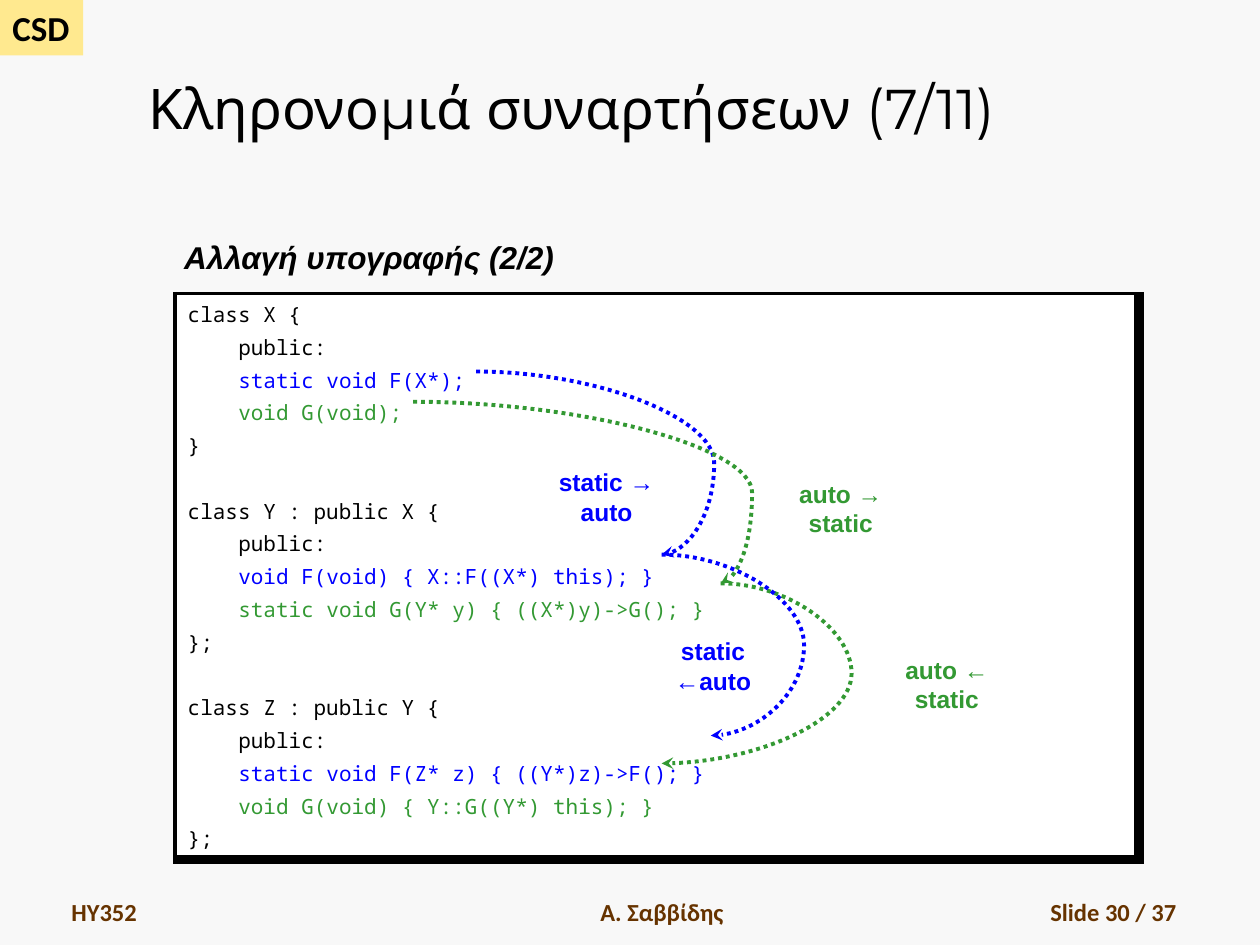
from lxml import etree
from pptx import Presentation
from pptx.dml.color import RGBColor
from pptx.enum.dml import MSO_LINE
from pptx.enum.shapes import MSO_CONNECTOR, MSO_SHAPE
from pptx.enum.text import MSO_ANCHOR, MSO_AUTO_SIZE, PP_ALIGN
from pptx.oxml.ns import qn
from pptx.util import Cm, Pt

LEFT, CENTER, RIGHT = PP_ALIGN.LEFT, PP_ALIGN.CENTER, PP_ALIGN.RIGHT
TOP, MIDDLE, BOTTOM = MSO_ANCHOR.TOP, MSO_ANCHOR.MIDDLE, MSO_ANCHOR.BOTTOM
CURVE, RECTANGLE = MSO_CONNECTOR.CURVE, MSO_SHAPE.RECTANGLE
DOTTED, NO_AUTOFIT = MSO_LINE.ROUND_DOT, MSO_AUTO_SIZE.NONE

BLACK, BLUE, GREEN, BROWN = "000000", "0000FF", "339933", "663300"

CODE = [
    ("class X {", 0, BLACK),
    ("public:", 1, BLACK),
    ("static void F(X*);", 1, BLUE),
    ("void G(void);", 1, GREEN),
    ("}", 0, BLACK),
    ("class Y : public X {", 0, BLACK),
    ("public:", 1, BLACK),
    ("void F(void) { X::F((X*) this); }", 1, BLUE),
    ("static void G(Y* y) { ((X*)y)->G(); }", 1, GREEN),
    ("};", 0, BLACK),
    ("class Z : public Y {", 0, BLACK),
    ("public:", 1, BLACK),
    ("static void F(Z* z) { ((Y*)z)->F(); }", 1, BLUE),
    ("void G(void) { Y::G((Y*) this); }", 1, GREEN),
    ("};", 0, BLACK),
]
FOOTERS = [
    ("HY352", 1.19, 5.56, LEFT),
    ("Α. Σαββίδης", 9.32, 8.05, CENTER),
    ("Slide 30 / 37", 18.69, 5.28, RIGHT),
]
ARROWS = [
    ((9.6, 7.49), (13.34, 11.18), 14.4, BLUE),
    ((8.33, 8.1), (14.53, 11.76), 15.16, GREEN),
    ((14.53, 11.76), (13.34, 15.39), 17.17, GREEN),
    ((13.34, 11.18), (14.33, 14.83), 16.21, BLUE),
]
LABELS = [
    ("static → auto", 10.44, 9.3, 3.58, BLUE),
    ("static ←auto", 12.65, 12.7, 3.45, BLUE),
    ("auto ← static", 17.3, 13.08, 3.58, GREEN),
    ("auto → static", 15.16, 9.53, 3.58, GREEN),
]


def rgb(value):
    """Turn a hex string into a colour."""
    return RGBColor.from_string(value)


def style(paragraph, font_name, size, color, bold=False, italic=False):
    """Set the font of a whole paragraph."""
    font = paragraph.font
    font.name, font.size = font_name, Pt(size)
    font.bold, font.italic = bold, italic
    font.color.rgb = rgb(color)


def fill_text(frame, text, align, anchor, wrap):
    """Write one paragraph into a text frame and return it."""
    frame.auto_size = NO_AUTOFIT
    frame.word_wrap = wrap
    frame.vertical_anchor = anchor
    paragraph = frame.paragraphs[0]
    paragraph.text = text
    paragraph.alignment = align
    return paragraph


def add_text(slide, text, box, align=LEFT, anchor=TOP, wrap=True, margin=0.25):
    """Add a text box and return its paragraph."""
    frame = slide.shapes.add_textbox(*map(Cm, box)).text_frame
    frame.margin_left = frame.margin_right = Cm(margin)
    return fill_text(frame, text, align, anchor, wrap)


def add_badge(slide):
    """Add the department badge in the corner."""
    badge = slide.shapes.add_shape(RECTANGLE, 0, 0, Cm(1.68), Cm(1.12))
    badge.shadow.inherit = False
    badge.fill.solid()
    badge.fill.fore_color.rgb = rgb("FFE98F")
    badge.line.fill.background()
    paragraph = fill_text(badge.text_frame, "CSD", LEFT, MIDDLE, False)
    style(paragraph, "Calibri", 20, BLACK, bold=True)


def set_title(slide, text):
    """Place and format the title placeholder."""
    title = slide.shapes.title
    title.left, title.top = Cm(2.74), Cm(0.43)
    title.width, title.height = Cm(22.66), Cm(2.54)
    paragraph = fill_text(title.text_frame, text, LEFT, BOTTOM, True)
    style(paragraph, "Montserrat", 32, BLACK)


def add_border(cell, side, width):
    """Draw one solid black border of a table cell."""
    line = etree.SubElement(cell._tc.get_or_add_tcPr(), qn(f"a:ln{side}"), w=str(Pt(width)))
    solid = etree.SubElement(line, qn("a:solidFill"))
    etree.SubElement(solid, qn("a:srgbClr"), val=BLACK)


def add_code_table(slide):
    """Add the framed one-cell table with the class declarations."""
    table = slide.shapes.add_table(1, 1, Cm(3.53), Cm(5.92), Cm(19.43), Cm(10.95)).table
    table.first_row = table.horz_banding = False
    cell = table.cell(0, 0)
    for side, width in (("L", 2.25), ("R", 6), ("T", 2.25), ("B", 6)):
        add_border(cell, side, width)
    cell.fill.solid()
    cell.fill.fore_color.rgb = rgb("FFFFFF")
    frame = cell.text_frame
    for index, (text, level, color) in enumerate(CODE):
        paragraph = frame.add_paragraph() if index else frame.paragraphs[0]
        paragraph.text = text
        starts_later_class = index and text.startswith("class")
        paragraph.space_before = Pt(21.1 if starts_later_class else 2.4)
        paragraph._p.get_or_add_pPr().set("marL", str(Cm(1.02) * level))
        style(paragraph, "Noto Sans Mono", 12, color)


def add_arrow(slide, start, end, bulge, color):
    """Add a dotted curved arrow that swings out to the x position bulge."""
    arrow = slide.shapes.add_connector(CURVE, *map(Cm, start + end))
    arrow.line.color.rgb = rgb(color)
    arrow.line.width = Pt(2.25)
    arrow.line.dash_style = DOTTED
    etree.SubElement(arrow.line._get_or_add_ln(), qn("a:tailEnd"), type="stealth")
    properties = arrow._element.spPr
    etree.SubElement(properties, qn("a:effectLst"))
    swing = round((bulge - start[0]) / (end[0] - start[0]) * 100000)
    adjustments = properties.find(f".//{qn('a:avLst')}")
    etree.SubElement(adjustments, qn("a:gd"), name="adj1", fmla=f"val {swing}")


def main():
    """Build the slide and save it."""
    deck = Presentation()
    deck.slide_width, deck.slide_height = Cm(25.4), Cm(19.05)
    slide = deck.slides.add_slide(deck.slide_layouts.get_by_name("Title Only"))
    slide.background.fill.solid()
    slide.background.fill.fore_color.rgb = rgb("F8F8F8")
    set_title(slide, "Κληρονομιά συναρτήσεων (7/11)")
    add_badge(slide)
    for text, left, width, align in FOOTERS:
        footer = add_text(slide, text, (left, 17.53, width, 1.27), align, BOTTOM)
        style(footer, "Calibri", 14, BROWN, bold=True)
    add_code_table(slide)
    for arrow in ARROWS:
        add_arrow(slide, *arrow)
    for text, left, top, width, color in LABELS:
        label = add_text(slide, text, (left, top, width, 0.84), CENTER, margin=0.64)
        style(label, "Arial", 14, color, bold=True)
    heading = add_text(slide, "Αλλαγή υπογραφής (2/2)", (3.45, 4.67, 7.98, 1.02), CENTER, wrap=False)
    style(heading, "Arial", 18, BLACK, bold=True, italic=True)
    deck.save("out.pptx")


main()
